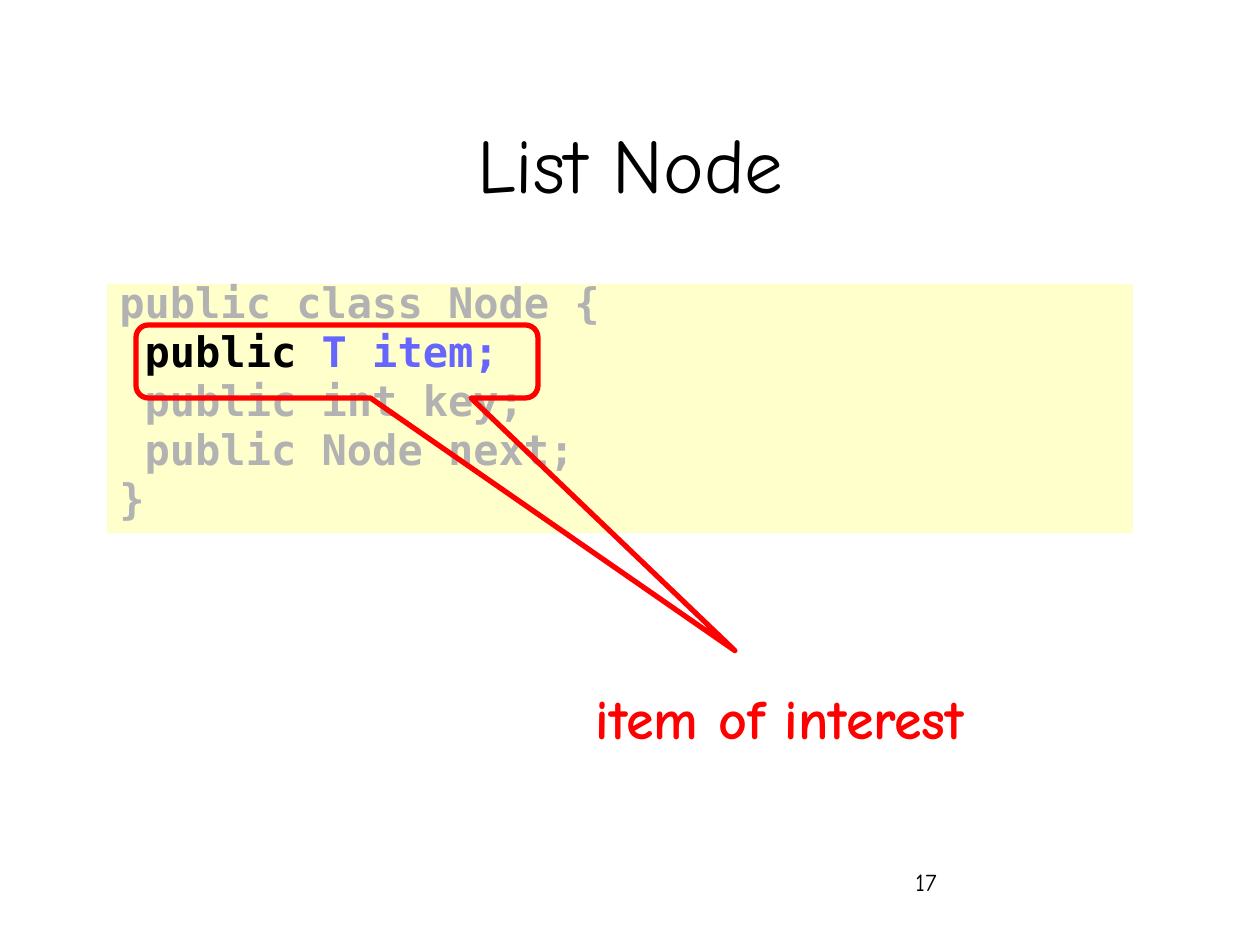
"""Build the List Node slide: a code panel with a callout on the item field."""
from pptx import Presentation
from pptx import util as u
from pptx.dml.color import RGBColor
from pptx.enum import shapes, text

SCALE = 914400 / 126
BLACK = RGBColor(0x00, 0x00, 0x00)
RED = RGBColor(0xFF, 0x00, 0x00)
GRAY = RGBColor(0xB2, 0xB2, 0xB2)
BLUE = RGBColor(0x66, 0x66, 0xFF)
CREAM = RGBColor(0xFF, 0xFF, 0xCC)


def px(*lengths):
    return [u.Emu(round(length * SCALE)) for length in lengths]


def add_label(words, box, size, color, alignment, anchor, bold=False):
    frame = slide.shapes.add_textbox(*px(*box)).text_frame
    frame.word_wrap = True
    frame.vertical_anchor = anchor
    paragraph = frame.paragraphs[0]
    paragraph.text = words
    paragraph.alignment = alignment
    paragraph.font.name = "Comic Neue"
    paragraph.font.size = u.Pt(size)
    paragraph.font.bold = bold
    paragraph.font.color.rgb = color
    return frame


presentation = Presentation()
presentation.slide_width, presentation.slide_height = px(1260, 945)
slide = presentation.slides.add_slide(presentation.slide_layouts[6])

LEFT, CENTER = text.PP_ALIGN.LEFT, text.PP_ALIGN.CENTER
TOP, MIDDLE = text.MSO_ANCHOR.TOP, text.MSO_ANCHOR.MIDDLE
add_label("17", (903, 861, 262, 63), 14, BLACK, LEFT, TOP)
add_label("List Node", (95, 84, 1071, 158), 44, BLACK, CENTER, MIDDLE)

code_lines = [
    [("public class Node {", GRAY)],
    [(" public ", BLACK), ("T item;", BLUE)],
    [(" public int key;", GRAY)],
    [(" public Node next;", GRAY)],
    [("}", GRAY)],
]
panel = slide.shapes.add_shape(shapes.MSO_SHAPE.RECTANGLE, *px(107, 284, 1026, 249))
panel.shadow.inherit = False
panel.fill.solid()
panel.fill.fore_color.rgb = CREAM
panel.line.fill.background()
frame = panel.text_frame
frame.word_wrap = True
frame.vertical_anchor = TOP
for index, pieces in enumerate(code_lines):
    paragraph = frame.add_paragraph() if index else frame.paragraphs[0]
    paragraph.alignment = LEFT
    paragraph.line_spacing = 0.7
    paragraph.space_before = u.Pt(7.9)
    paragraph.font.name = "DejaVu Sans Mono"
    paragraph.font.size = u.Pt(24)
    paragraph.font.bold = True
    for words, color in pieces:
        run = paragraph.add_run()
        run.text = words
        run.font.color.rgb = color

callout = slide.shapes.add_shape(
    shapes.MSO_SHAPE.ROUNDED_RECTANGULAR_CALLOUT, *px(136, 325, 402, 73))
callout.shadow.inherit = False
callout.fill.background()
callout.line.color.rgb = RED
callout.line.width = u.Pt(3)
for index, value in enumerate((0.99, 3.96, 0.17)):
    callout.adjustments[index] = value

interest = add_label("item of interest", (548, 677, 464, 79), 32, RED, CENTER, TOP, bold=True)
interest.word_wrap = False

presentation.save("out.pptx")
